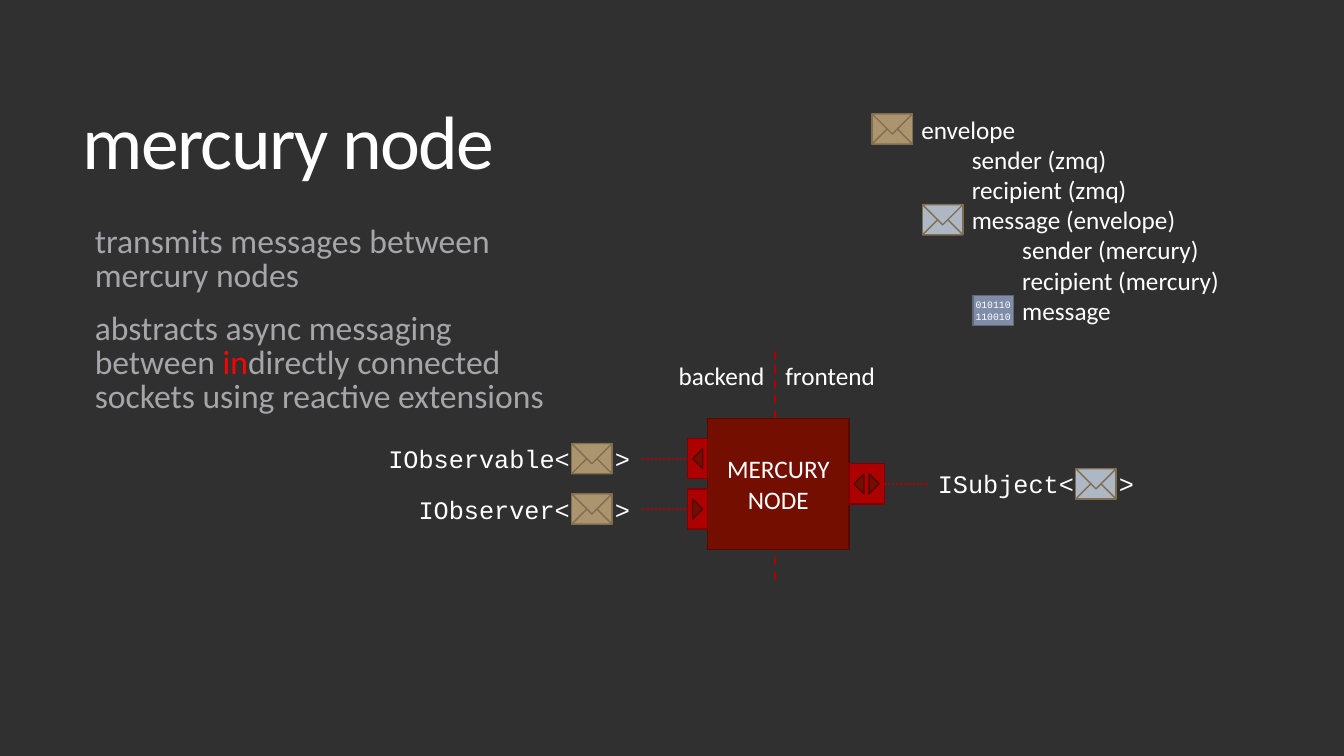
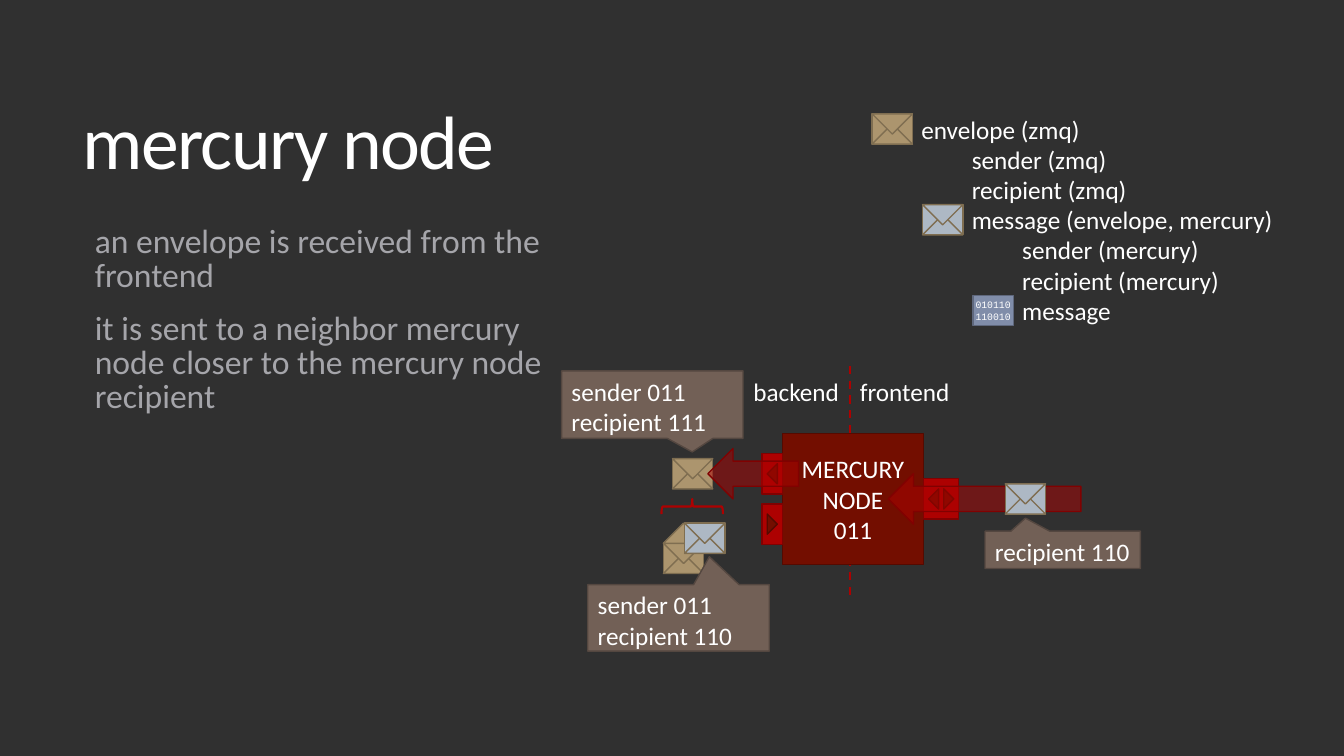
from lxml import etree
from pptx import Presentation
from pptx import util as u
from pptx.dml.color import RGBColor
from pptx.enum import dml, shapes, text
from pptx.oxml.ns import qn

PX = 9144
Kind = shapes.MSO_SHAPE
Dash = dml.MSO_LINE
Side = text.PP_ALIGN
Hold = text.MSO_ANCHOR


class Theme:
    back, white, grey, hot = "303030", "FFFFFF", "A5A5AA", "FF0000"
    red, edge = "AD0101", "800101"
    core, rim = "730E00", "550A00"
    gold, pale, fold = "AC956E", "ADB8C4", "7F6E51"
    data, trim = "808DA9", "5F687D"
    note, brown = "726056", "544740"
    sans, mono = "Calibri", "Courier New"
    head, body, base, tiny = 54, 24, 18, 7
    thin, wide = 1, 1.5


def px(*vals):
    return [u.Emu(v * PX) for v in vals]


def put(obj, vals):
    for key, val in vals.items():
        setattr(obj, key, val)


def rgb(tone):
    return RGBColor.from_string(tone)


class Deck:
    def __init__(self):
        self.prs = Presentation()
        put(self.prs, dict(zip(("slide_width", "slide_height"), px(1333, 750))))
        fill = self.prs.slide_master.background.fill
        fill.solid()
        fill.fore_color.rgb = rgb(Theme.back)

    def page(self, title, items):
        self.slide = self.prs.slides.add_slide(self.prs.slide_layouts[1])
        self.pen = self.slide.shapes
        head, body = self.slide.placeholders
        self.move(head, 72, 55, 1178, 181)
        self.move(body, 74, 219, 510, 412)
        fit = {"auto_size": text.MSO_AUTO_SIZE.NONE, "word_wrap": True}
        self.label(head, [title], size=Theme.head,
                   frame={**fit, "vertical_anchor": Hold.MIDDLE},
                   para={"line_spacing": 0.85, "alignment": Side.LEFT})
        for run in head.text_frame.paragraphs[0].runs:
            run.font._element.set("spc", "-120")
        self.label(body, items, size=Theme.body, tone=Theme.grey,
                   frame={**fit, "vertical_anchor": Hold.TOP},
                   para={"line_spacing": 0.85, "space_before": u.Pt(13)})
        for para in body.text_frame.paragraphs:
            self.inset(para, 10)
            etree.SubElement(para._p.get_or_add_pPr(), qn("a:buNone"))

    def move(self, shape, *box):
        put(shape, dict(zip(("left", "top", "width", "height"), px(*box))))

    def inset(self, para, left):
        prop = para._p.get_or_add_pPr()
        prop.set("marL", str(left * PX))
        prop.set("indent", "0")

    def label(self, shape, lines, size=Theme.base, tone=Theme.white,
              font=Theme.sans, frame=None, para=None):
        area = shape.text_frame
        put(area, frame or {})
        for i, line in enumerate(lines):
            row = area.add_paragraph() if i else area.paragraphs[0]
            put(row, para or {})
            parts = [(line, tone)] if isinstance(line, str) else line
            for words, ink in parts:
                run = row.add_run()
                run.text = words
                put(run.font, {"size": u.Pt(size), "name": font})
                run.font.color.rgb = rgb(ink)

    def words(self, x, y, w, h, lines, side=Side.LEFT, font=Theme.sans):
        box = self.pen.add_textbox(*px(x, y, w, h))
        self.label(box, lines, font=font, frame={"word_wrap": True},
                   para={"alignment": side})
        return box

    def shape(self, kind, x, y, w, h, fill, line, turn=0, pen=None,
              width=Theme.thin):
        item = (pen or self.pen).add_shape(kind, *px(x, y, w, h))
        item.shadow.inherit = False
        item.rotation = turn
        if fill:
            item.fill.solid()
            item.fill.fore_color.rgb = rgb(fill)
        else:
            item.fill.background()
        item.line.color.rgb = rgb(line)
        item.line.width = u.Pt(width)
        return item

    def wire(self, x1, y1, x2, y2, dash, port=None, site=0):
        line = self.pen.add_connector(shapes.MSO_CONNECTOR.STRAIGHT,
                                      *px(x1, y1, x2, y2))
        if port:
            line.end_connect(port, site)
        line.line.color.rgb = rgb(Theme.red)
        put(line.line, {"width": u.Pt(Theme.wide), "dash_style": dash})
        etree.SubElement(line._element.spPr, qn("a:effectLst"))

    def mail(self, x, y, fill):
        group = self.pen.add_group_shape()
        for kind, top, h, turn in ((Kind.RECTANGLE, 0, 30, 0),
                                   (Kind.ISOSCELES_TRIANGLE, 10, 20, 0),
                                   (Kind.ISOSCELES_TRIANGLE, 0, 20, 180)):
            self.shape(kind, x, y + top, 40, h, fill, Theme.fold, turn,
                       group.shapes)
        return group

    def torn(self, x, y, turn):
        group = self.mail(x, y, Theme.gold)
        self.shape(Kind.ISOSCELES_TRIANGLE, x, y - 20, 40, 20, Theme.gold,
                   Theme.fold, pen=group.shapes)
        group.rotation = turn

    def legend(self, rows):
        box = self.words(904, 108, 400, 222, [words for _, words in rows])
        for para, (level, _) in zip(box.text_frame.paragraphs, rows):
            self.inset(para, level * 50)
        self.mail(915, 203, Theme.pale)
        self.mail(865, 113, Theme.gold)
        chip = self.shape(Kind.RECTANGLE, 965, 293, 40, 30, Theme.data,
                          Theme.trim)
        self.label(chip, ["010110110010"], Theme.tiny, font=Theme.mono,
                   frame={"margin_left": 0, "margin_right": 0,
                          "word_wrap": True},
                   para={"alignment": Side.CENTER})

    def node(self, x, y, lines):
        mid = x + 67
        self.wire(mid, y - 67, mid, y + 163, Dash.DASH)
        self.words(mid - 121, y - 62, 120, 40, ["backend"], Side.RIGHT)
        self.words(mid, y - 62, 120, 40, ["frontend"])
        core = self.shape(Kind.RECTANGLE, x, y, 140, 130, Theme.core,
                          Theme.rim)
        self.label(core, lines, frame={"word_wrap": True},
                   para={"alignment": Side.CENTER})
        ports = [self.shape(Kind.RECTANGLE, x + dx, y + dy, w, 40, Theme.red,
                            Theme.edge)
                 for dx, dy, w in ((-20, 20, 20), (-20, 70, 20),
                                   (140, 45, 35))]
        for dx, dy, turn in ((-10, 40, 270), (-10, 90, 90),
                             (150, 65, 270), (165, 65, 90)):
            self.shape(Kind.ISOSCELES_TRIANGLE, x + dx - 10, y + dy - 5,
                       20, 10, Theme.core, Theme.rim, turn)
        return ports

    def typed(self, x, y, name, fill):
        self.words(x - 232, y - 5, 240, 40, [name + "<"], Side.RIGHT,
                   Theme.mono)
        self.words(x + 33, y - 5, 40, 40, [">"], font=Theme.mono)
        self.mail(x, y, fill)

    def note(self, x, y, w, h, tip, lines):
        box = self.shape(Kind.RECTANGULAR_CALLOUT, x, y, w, h, Theme.note,
                         Theme.brown)
        for i, val in enumerate(tip):
            box.adjustments[i] = val
        self.label(box, lines, frame={"vertical_anchor": Hold.TOP,
                                      "word_wrap": True},
                   para={"alignment": Side.LEFT})

    def arrow(self, x, y, w, h):
        item = self.shape(Kind.LEFT_ARROW, x, y, w, h, Theme.red, Theme.edge)
        tone = item._element.spPr.find(qn("a:solidFill")).find(qn("a:srgbClr"))
        etree.SubElement(tone, qn("a:alpha")).set("val", "50000")


def rows(first, inner):
    return [(0, first), (1, "sender (zmq)"), (1, "recipient (zmq)"),
            (1, inner), (2, "sender (mercury)"), (2, "recipient (mercury)"),
            (2, "message")]


def facets(deck):
    deck.page("mercury node", [
        "transmits messages between mercury nodes",
        [("abstracts async messaging between ", Theme.grey),
         ("in", Theme.hot),
         ("directly connected sockets using reactive extensions",
          Theme.grey)]])
    back, down, front = deck.node(702, 415, ["MERCURY NODE"])
    for x, y, port, site in ((637, 455, back, 1), (637, 505, down, 1),
                             (920, 480, front, 3)):
        deck.wire(x, y, x, y, Dash.ROUND_DOT, port, site)
    deck.typed(567, 490, "IObserver", Theme.gold)
    deck.typed(567, 440, "IObservable", Theme.gold)
    deck.typed(1067, 465, "ISubject", Theme.pale)
    deck.legend(rows("envelope", "message (envelope)"))


def route(deck):
    deck.page("mercury node", [
        "an envelope is received from the frontend",
        "it is sent to a neighbor mercury node closer to the mercury node "
        "recipient"])
    deck.mail(667, 455, Theme.gold)
    deck.node(776, 430, ["MERCURY NODE", "011"])
    deck.legend(rows("envelope (zmq)", "message (envelope, mercury)"))
    deck.note(557, 368, 180, 67, (0.22, 0.7), ["sender 011", "recipient 111"])
    deck.arrow(702, 445, 90, 50)
    deck.arrow(881, 470, 191, 50)
    deck.mail(997, 480, Theme.pale)
    deck.note(977, 527, 154, 37, (-0.24, -0.85), ["recipient 110"])
    deck.torn(658, 539, 57.3)
    deck.mail(679, 519, Theme.pale)
    deck.note(583, 580, 180, 66, (0.17, -0.92),
              ["sender 011", "recipient 110"])
    deck.shape(Kind.LEFT_BRACE, 679, 472, 15, 61, None, Theme.red, 90,
               width=Theme.wide)


def main():
    deck = Deck()
    facets(deck)
    route(deck)
    deck.prs.save("out.pptx")


if __name__ == "__main__":
    main()
